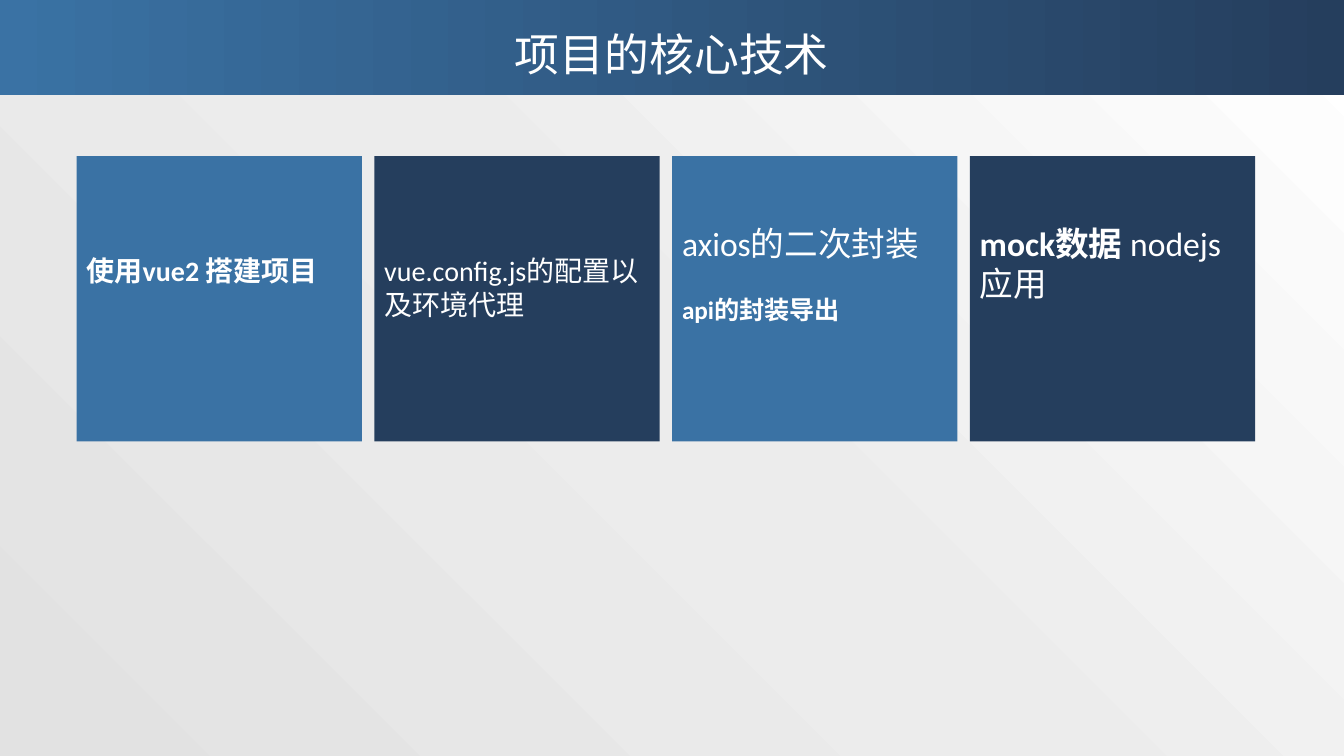
from copy import deepcopy

from pptx import Presentation
from pptx.dml.color import RGBColor
from pptx.enum.shapes import MSO_SHAPE
from pptx.enum.text import MSO_ANCHOR, PP_ALIGN
from pptx.oxml.ns import qn
from pptx.util import Inches, Pt

RECTANGLE = MSO_SHAPE.RECTANGLE
TOP, MIDDLE = MSO_ANCHOR.TOP, MSO_ANCHOR.MIDDLE
LEFT, CENTER = PP_ALIGN.LEFT, PP_ALIGN.CENTER

BLUE, NAVY, WHITE = "3A72A4", "253E5D", "FFFFFF"
LINE = 22  # height in points of one 18 pt line

# Each card: lines left free above, then paragraphs of (text, size, bold) runs
CARDS = [
    (3, [[("使用vue2 搭建项目", 20, True)]]),
    (3, [[("vue.config.js的配置以及环境代理", 20, False)]]),
    (2, [[("axios的二次封装", 24, False)], [("api的封装导出", 18, True)]]),
    (2, [[("mock数据 ", 24, True), ("nodejs应用", 24, False)]]),
]


def color(hex_code):
    return RGBColor.from_string(hex_code)


def set_gradient(fill, element, angle, colors):
    """Fill with evenly spaced colours; the angle runs counter-clockwise."""
    fill.gradient()
    fill.gradient_angle = angle
    stop_list = next(element.iter(qn("a:gsLst")))
    while len(stop_list) < len(colors):
        stop_list.append(deepcopy(stop_list[0]))
    for i, (stop, hex_code) in enumerate(zip(fill.gradient_stops, colors)):
        stop.position = i / (len(colors) - 1)
        stop.color.rgb = color(hex_code)


prs = Presentation()
prs.slide_width, prs.slide_height = Inches(13.33), Inches(7.5)
slide = prs.slides.add_slide(prs.slide_layouts[6])
background = slide.background.fill
set_gradient(background, slide.element, 45, ["E2E2E2", "ECECEC", WHITE])

# Header band and title
header = slide.shapes.add_shape(RECTANGLE, 0, 0, prs.slide_width, Inches(0.94))
header.shadow.inherit = False
header.line.fill.background()
set_gradient(header.fill, header.element, 0, [BLUE, NAVY])

title = slide.shapes.add_textbox(Inches(4.05), Inches(0.33), Inches(5.23), Inches(0.4))
title_frame = title.text_frame
title_frame.word_wrap = True
title_frame.vertical_anchor = MIDDLE
title_frame.paragraphs[0].alignment = CENTER
title_run = title_frame.paragraphs[0].add_run()
title_run.text = "项目的核心技术"
title_run.font.size = Pt(32)
title_run.font.name = "Noto Sans CJK SC"
title_run.font.color.rgb = color(WHITE)

# Row of technology cards
side, pitch = Inches(2.83), Inches(2.953)
for i, (free_lines, paragraphs) in enumerate(CARDS):
    card = slide.shapes.add_shape(
        RECTANGLE, Inches(0.76) + i * pitch, Inches(1.55), side, side)
    card.shadow.inherit = False
    card.line.fill.background()
    card.fill.solid()
    card.fill.fore_color.rgb = color(NAVY if i % 2 else BLUE)
    frame = card.text_frame
    frame.word_wrap = True
    frame.vertical_anchor = TOP
    frame.margin_top = Inches(0.05) + Pt(free_lines * LINE)
    for j, runs in enumerate(paragraphs):
        paragraph = frame.add_paragraph() if j else frame.paragraphs[0]
        paragraph.alignment = LEFT
        if j:
            paragraph.space_before = Pt(LINE)
        for text, size, bold in runs:
            run = paragraph.add_run()
            run.text = text
            run.font.size = Pt(size)
            run.font.bold = bold
            run.font.name = "Calibri"
            run.font.color.rgb = color(WHITE)

prs.save("out.pptx")
